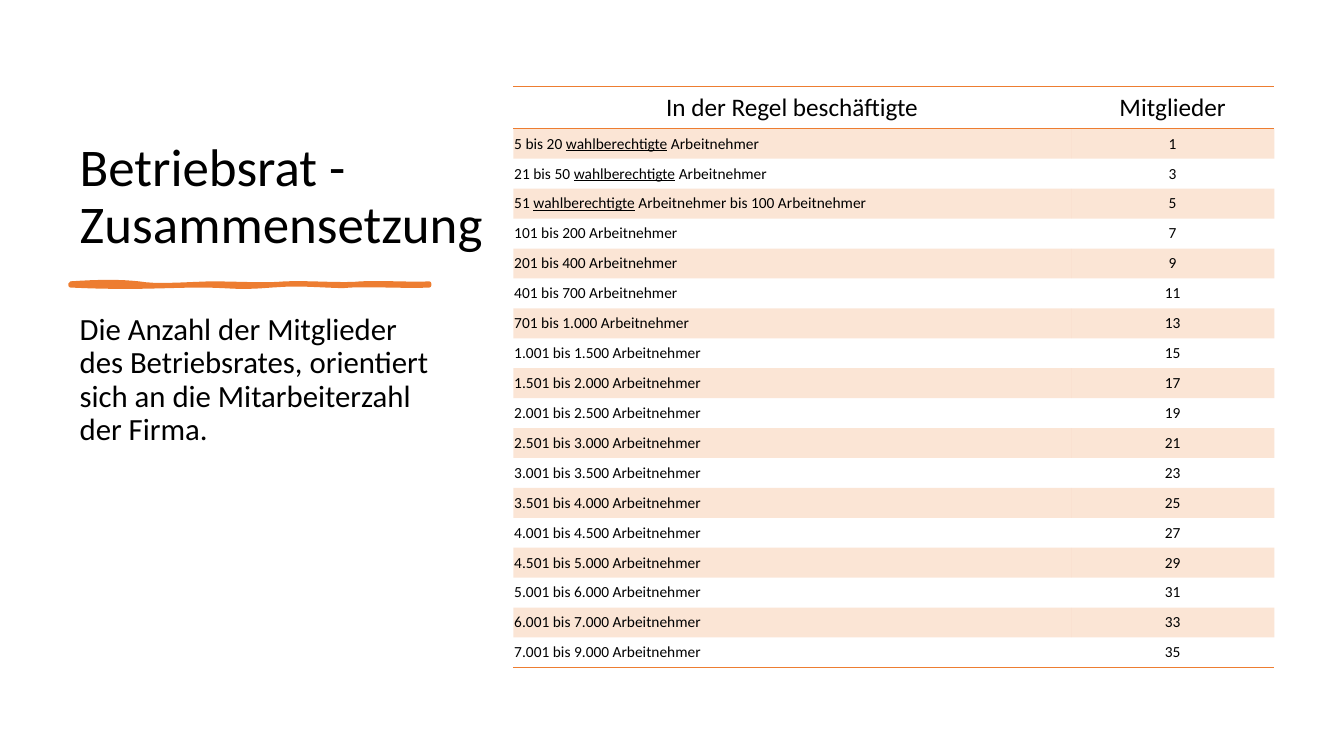
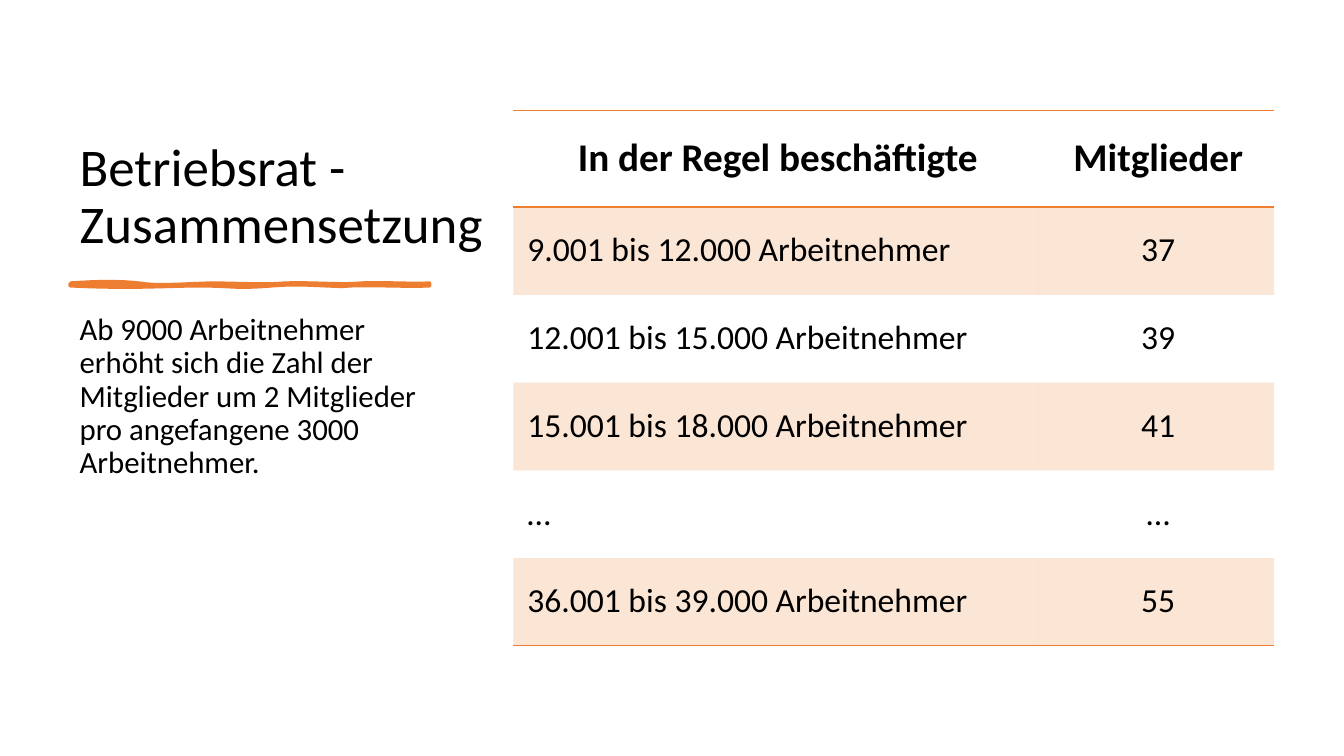
from dataclasses import dataclass

from lxml.etree import SubElement
from pptx import Presentation
from pptx.dml.color import RGBColor as RGB
from pptx.enum.text import MSO_ANCHOR as ANCHOR, PP_ALIGN as ALIGN
from pptx.oxml import parse_xml
from pptx.oxml.ns import nsdecls, qn
from pptx.util import Emu, Inches, Pt


# Colours, fonts and type sizes
@dataclass(frozen=True)
class Theme:
    font: str = "Calibri"
    text: RGB = RGB(0x00, 0x00, 0x00)
    accent: RGB = RGB(0xED, 0x7D, 0x31)
    band_alpha: int = 20
    title_size: float = 37.8
    body_size: float = 22
    rule_width: float = 1
    brush_width: float = 3


THEME = Theme()
NO_TABLE_STYLE = "{2D5ABB26-0587-4C30-8999-92F81FD0307C}"

# Grid of 160 columns by 90 rows
WIDTH, HEIGHT = Inches(13.333), Inches(7.5)
COL, ROW = WIDTH / 160, HEIGHT / 90
TEXT_LEFT = 8.3
TABLE_LEFT, TABLE_WIDTH = 61.1, 90.6

# Brush stroke curves: two controls and an end; x in percent of the width,
# y in hundredths of an inch
BRUSH_LEFT, BRUSH_TOP, BRUSH_WIDTH = 8.4, 33.75, 42.7
BRUSH_CURVES = [
    ((8, -2), (14, -2), (19, 0)), ((24, 3), (30, 1), (39, 0)),
    ((48, 0), (53, 2), (60, 0)), ((67, -1), (76, 2), (81, 0)),
    ((87, -1), (96, 1), (100, 0)), ((100, 1), (100, 2), (100, 2)),
    ((95, 3), (83, 1), (78, 2)), ((74, 4), (66, -1), (56, 2)),
    ((46, 5), (45, 2), (36, 2)), ((27, 2), (17, 5), (0, 2)),
]


def cols(n):
    return Emu(round(n * COL))


def rows(n):
    return Emu(round(n * ROW))


def write(tf, text, size, bold=False, align=ALIGN.LEFT, spacing=None, before=None):
    """Fill a text frame; words between underscores are underlined."""
    p = tf.paragraphs[0]
    p.alignment, p.line_spacing = align, spacing
    if before:
        p.space_before = Pt(before)
    for i, part in enumerate(text.split("_")):
        r = p.add_run()
        r.text = part
        r.font.name, r.font.size = THEME.font, Pt(size)
        r.font.bold, r.font.underline = bold, i % 2 == 1
        r.font.color.rgb = THEME.text


def add_text(s, top, width, height, text, size, anchor=ANCHOR.TOP, before=None):
    sp = s.shapes.add_textbox(cols(TEXT_LEFT), rows(top), cols(width), rows(height))
    tf = sp.text_frame
    tf.word_wrap, tf.vertical_anchor = True, anchor
    write(tf, text, size, spacing=0.9, before=before)


def curve_points(start, curves, steps=8):
    """Points along a chain of cubic curves."""
    points = []
    for a, b, end in curves:
        for t in (i / steps for i in range(1, steps + 1)):
            u = 1 - t
            points.append(tuple(
                u**3 * p0 + 3 * u * u * t * p1 + 3 * u * t * t * p2 + t**3 * p3
                for p0, p1, p2, p3 in zip(start, a, b, end)))
        start = end
    return points


def add_brush(s):
    dx, dy = cols(BRUSH_WIDTH) / 100, Inches(0.01)
    outline = [(x * dx, y * dy) for x, y in curve_points((0, 0), BRUSH_CURVES)]
    builder = s.shapes.build_freeform(0, 0)
    builder.add_line_segments(outline, close=True)
    sp = builder.convert_to_shape(cols(BRUSH_LEFT), rows(BRUSH_TOP))
    sp.shadow.inherit = False
    sp.fill.solid()
    sp.fill.fore_color.rgb = THEME.accent
    sp.line.color.rgb = THEME.accent
    sp.line.width = Pt(THEME.brush_width)
    SubElement(sp.line._get_or_add_ln(), qn("a:round"))


def style_cell(cell, banded, edges):
    """Tint a banded cell and rule the given edges (T before B)."""
    if banded:
        cell.fill.solid()
        cell.fill.fore_color.rgb = THEME.accent
    else:
        cell.fill.background()
    tc_pr = cell._tc.get_or_add_tcPr()
    for clr in tc_pr.iter(qn("a:srgbClr")):
        SubElement(clr, qn("a:alpha"), val=str(THEME.band_alpha * 1000))
    for i, edge in enumerate(edges):
        tc_pr.insert(i, parse_xml(
            f'<a:ln{edge} {nsdecls("a")} w="{Pt(THEME.rule_width)}"><a:solidFill>'
            f'<a:srgbClr val="{THEME.accent}"/></a:solidFill></a:ln{edge}>'))


def add_table(s, data, top, height, header, first_col, head_size, size, margins,
              bold_head=False):
    frame = s.shapes.add_table(len(data), 2, cols(TABLE_LEFT), rows(top),
                               cols(TABLE_WIDTH), rows(height))
    table = frame.table
    table.first_row = table.horz_banding = False
    table._tbl.tblPr.find(qn("a:tableStyleId")).text = NO_TABLE_STYLE
    table.columns[0].width = cols(first_col)
    table.columns[1].width = cols(TABLE_WIDTH - first_col)
    last = len(data) - 1
    for i, values in enumerate(data):
        head = i == 0
        table.rows[i].height = rows(header if head else (height - header) / last)
        edges = "TB" if head else "B" if i == last else ""
        for j, value in enumerate(values):
            cell = table.cell(i, j)
            cell.vertical_anchor = ANCHOR.MIDDLE
            (cell.margin_left, cell.margin_top,
             cell.margin_right, cell.margin_bottom) = map(Inches, margins)
            write(cell.text_frame, value, head_size if head else size,
                  bold=head and bold_head,
                  align=ALIGN.CENTER if head or j else ALIGN.LEFT)
            style_cell(cell, i % 2 == 1, edges)


def add_slide(prs, body, ranges, first_members, **table_format):
    """Title, brush stroke and text on the left, table on the right."""
    s = prs.slides.add_slide(prs.slide_layouts[6])
    add_text(s, 8.4, 51, 22.5, "Betriebsrat - Zusammensetzung",
             THEME.title_size, anchor=ANCHOR.BOTTOM)
    add_brush(s)
    add_text(s, 36.8, 45, 44.8, body, THEME.body_size, before=10)
    data = [("In der Regel beschäftigte", "Mitglieder")]
    data += zip(ranges, first_members)
    add_table(s, data, **table_format)


def main():
    prs = Presentation()
    prs.slide_width, prs.slide_height = WIDTH, HEIGHT

    # Up to 9,000 employees: two more members per step
    limits = ["101 bis 200", "201 bis 400", "401 bis 700", "701 bis 1.000",
              "1.001 bis 1.500", "1.501 bis 2.000", "2.001 bis 2.500",
              "2.501 bis 3.000", "3.001 bis 3.500", "3.501 bis 4.000",
              "4.001 bis 4.500", "4.501 bis 5.000", "5.001 bis 6.000",
              "6.001 bis 7.000", "7.001 bis 9.000"]
    ranges = ["5 bis 20 _wahlberechtigte_ Arbeitnehmer",
              "21 bis 50 _wahlberechtigte_ Arbeitnehmer",
              "51 _wahlberechtigte_ Arbeitnehmer bis 100 Arbeitnehmer"]
    ranges += [f"{limit} Arbeitnehmer" for limit in limits]
    add_slide(prs, "Die Anzahl der Mitglieder des Betriebsrates, orientiert "
              "sich an die Mitarbeiterzahl der Firma.",
              ranges, [str(n) for n in range(1, 36, 2)],
              top=10.3, height=69.2, header=5.04, first_col=66.4,
              head_size=18, size=11, margins=(0.01, 0.04, 0.01, 0.04))

    # Above 9,000 employees
    add_slide(prs, "Ab 9000 Arbeitnehmer erhöht sich die Zahl der Mitglieder "
              "um 2 Mitglieder pro angefangene 3000 Arbeitnehmer.",
              ["9.001 bis 12.000 Arbeitnehmer", "12.001 bis 15.000 Arbeitnehmer",
               "15.001 bis 18.000 Arbeitnehmer", "…",
               "36.001 bis 39.000 Arbeitnehmer"],
              ["37", "39", "41", "…", "55"],
              top=13.2, height=63.7, header=11.45, first_col=62.5,
              head_size=28, size=24, margins=(0.14, 0.19, 0.1, 0.2),
              bold_head=True)

    prs.save("out.pptx")


if __name__ == "__main__":
    main()
